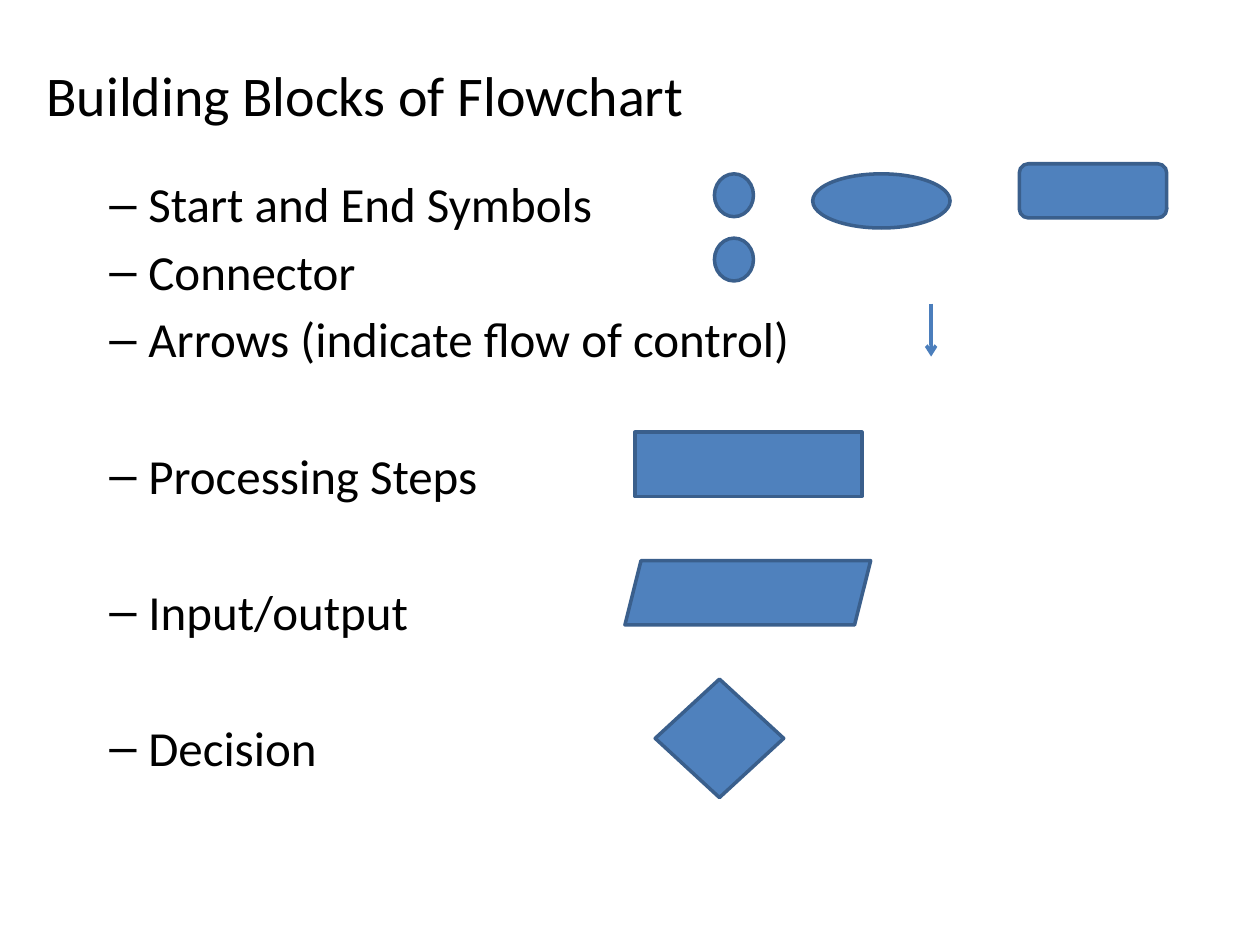
from lxml import etree
from pptx import Presentation
from pptx.dml.color import RGBColor
from pptx.enum.shapes import MSO_CONNECTOR, MSO_SHAPE
from pptx.enum.text import MSO_ANCHOR
from pptx.oxml.ns import qn
from pptx.util import Inches, Pt

OVAL, ROUNDED = MSO_SHAPE.OVAL, MSO_SHAPE.ROUNDED_RECTANGLE
RECTANGLE, PARALLELOGRAM = MSO_SHAPE.RECTANGLE, MSO_SHAPE.PARALLELOGRAM
DIAMOND, STRAIGHT = MSO_SHAPE.DIAMOND, MSO_CONNECTOR.STRAIGHT
TOP, MIDDLE = MSO_ANCHOR.TOP, MSO_ANCHOR.MIDDLE

CELL = Inches(0.1)  # the page is a grid of 100 columns by 75 rows
COLUMNS, ROWS = 100, 75
FONT, INK = "Calibri", "000000"
FILL, EDGE, ARROW = "4F81BD", "3A5F8C", "4B7EBC"
LINE_WIDTH = 2
LINE_GAP, GROUP_GAP = 5, 44.2  # points before a bullet line

# Wording and the space before each line
BLOCKS = [
    ("Start and End Symbols", 0),
    ("Connector", LINE_GAP),
    ("Arrows (indicate flow of control)", LINE_GAP),
    ("Processing Steps", GROUP_GAP),
    ("Input/output", GROUP_GAP),
    ("Decision", GROUP_GAP),
]

# Kind, column, row, columns wide, rows high within the symbol area
SYMBOLS = [
    (OVAL, 7.1, 0.8, 3.1, 3.4),             # start
    (OVAL, 14.9, 0.8, 10.9, 4.3),           # start or end
    (ROUNDED, 31.3, 0, 11.7, 4.3),          # start or end
    (OVAL, 7.1, 5.9, 3.1, 3.4),             # connector
    (RECTANGLE, 0.8, 21.3, 18, 5.1),        # processing
    (PARALLELOGRAM, 0, 31.5, 19.5, 5.1),    # input and output
    (DIAMOND, 2.4, 40.9, 10.2, 9.4),        # decision
]
ARROW_COLUMN, ARROW_START, ARROW_END = 24.3, 11.1, 15.3


def cells(*counts):
    return [round(count * CELL) for count in counts]


def colour(value):
    return RGBColor.from_string(value)


def add_text(para, text, size=28, before=0, bullet=None, indent=0, hanging=0):
    properties = para._p.get_or_add_pPr()
    if bullet:
        properties.set("marL", str(Inches(indent)))
        properties.set("indent", str(-Inches(hanging)))
        etree.SubElement(properties, qn("a:buFont"), typeface="Arial")
        etree.SubElement(properties, qn("a:buChar"), char=bullet)
    para.space_before = Pt(before)
    span = para.add_run()
    span.text = text
    span.font.name, span.font.size = FONT, Pt(size)
    span.font.color.rgb = colour(INK)


def add_frame(page, box, anchor):
    frame = page.shapes.add_textbox(*cells(*box)).text_frame
    frame.word_wrap = True
    frame.vertical_anchor = anchor
    return frame


def add_title(page, box):
    frame = add_frame(page, box, MIDDLE)
    add_text(frame.paragraphs[0], "Building Blocks of Flowchart", size=32)


def add_block_list(page, box):
    frame = add_frame(page, box, TOP)
    for index, (text, before) in enumerate(BLOCKS):
        para = frame.add_paragraph() if index else frame.paragraphs[0]
        add_text(para, text, before=before, bullet="–", indent=0.81, hanging=0.31)


def add_symbols(page, left, top):
    # Flowchart shapes
    for kind, column, row, width, height in SYMBOLS:
        place = cells(left + column, top + row, width, height)
        symbol = page.shapes.add_shape(kind, *place)
        symbol.shadow.inherit = False
        symbol.fill.solid()
        symbol.fill.fore_color.rgb = colour(FILL)
        symbol.line.color.rgb = colour(EDGE)
        symbol.line.width = Pt(LINE_WIDTH)

    # Flow arrow
    column = left + ARROW_COLUMN
    ends = cells(column, top + ARROW_START, column, top + ARROW_END)
    arrow = page.shapes.add_connector(STRAIGHT, *ends)
    arrow.line.color.rgb = colour(ARROW)
    arrow.line.width = Pt(LINE_WIDTH)
    etree.SubElement(arrow.line._get_or_add_ln(), qn("a:tailEnd"), type="arrow")
    etree.SubElement(arrow._element.spPr, qn("a:effectLst"))


def main():
    deck = Presentation()
    deck.slide_width, deck.slide_height = cells(COLUMNS, ROWS)
    page = deck.slides.add_slide(deck.slide_layouts[6])
    add_title(page, (2.7, 3.3, 90, 8.3))
    add_block_list(page, (2.7, 13.3, 90, 48))
    add_symbols(page, 49.6, 13)
    deck.save("out.pptx")


if __name__ == "__main__":
    main()
